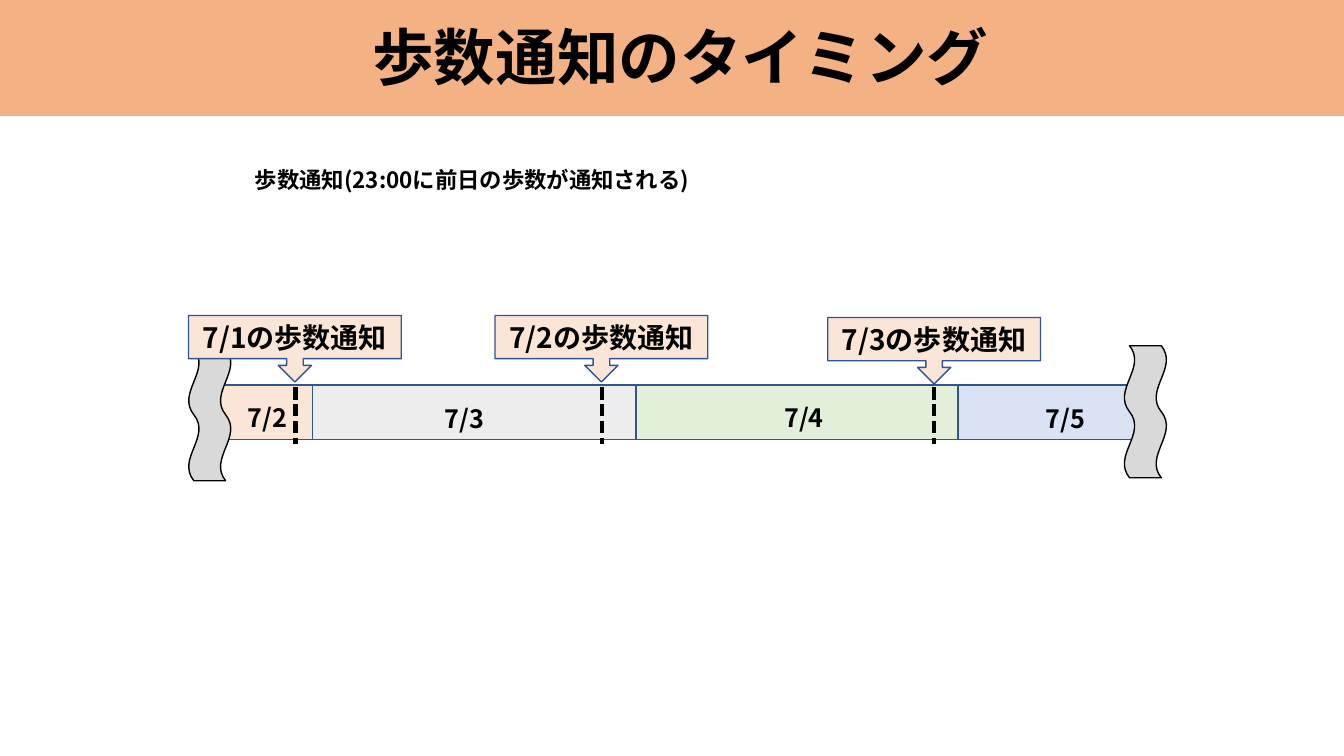
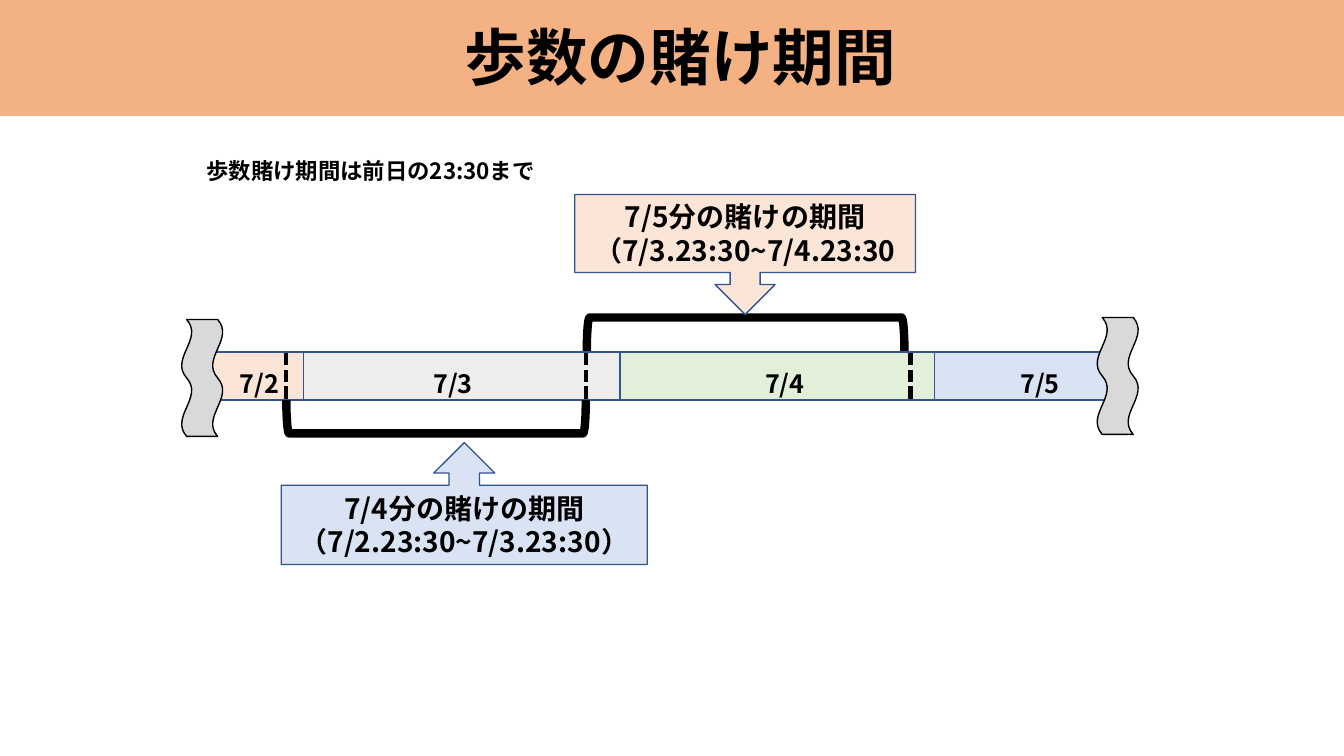
from lxml import etree
from pptx import Presentation
from pptx.dml.color import RGBColor
from pptx.enum.dml import MSO_LINE
from pptx.enum.shapes import MSO_CONNECTOR, MSO_SHAPE
from pptx.enum.text import MSO_ANCHOR, MSO_AUTO_SIZE, PP_ALIGN
from pptx.oxml.ns import qn
from pptx.util import Emu, Pt

PX = 9144  # 100 px to the inch
FONT = "Noto Sans CJK JP"
BLACK, WAVE_GREY, OUTLINE, BAND = "000000", "D9D9D9", "325491", "F4B183"
PEACH, GREY, GREEN, BLUE = "FBE5D6", "EDEDED", "E2F0D9", "DAE3F3"
RECTANGLE, ROUNDED = MSO_SHAPE.RECTANGLE, MSO_SHAPE.ROUNDED_RECTANGLE
WAVE, BRACKET = MSO_SHAPE.DOUBLE_WAVE, MSO_SHAPE.RIGHT_BRACKET
DOWN, UP = MSO_SHAPE.DOWN_ARROW_CALLOUT, MSO_SHAPE.UP_ARROW_CALLOUT
STRAIGHT, SYSTEM_DASH = MSO_CONNECTOR.STRAIGHT, MSO_LINE.SQUARE_DOT
LEFT, CENTER, MIDDLE = PP_ALIGN.LEFT, PP_ALIGN.CENTER, MSO_ANCHOR.MIDDLE
GROW = MSO_AUTO_SIZE.SHAPE_TO_FIT_TEXT
hex_color = RGBColor.from_string

DAYS = [("7/2", PEACH), ("7/3", GREY), ("7/4", GREEN), ("7/5", BLUE)]
PAGES = [
    {
        "title": "歩数通知のタイミング",
        "note": ("歩数通知(23:00に前日の歩数が通知される)", (243, 160, 479, 37)),
        "day_edges": [201, 310, 631, 950, 1128],
        "bar": (382, 54),
        "labels": ([236, 431, 768, 1027], 394),
        "waves": [(187, 346, 42, 131), (1115, 343, 42, 131)],
        "brackets": [],
        "callouts": [
            (DOWN, (187, 313, 211, 66), PEACH, ["7/1の歩数通知"]),
            (DOWN, (491, 313, 211, 66), PEACH, ["7/2の歩数通知"]),
            (DOWN, (821, 315, 211, 66), PEACH, ["7/3の歩数通知"]),
        ],
        "dashes": ([293, 597, 926], 384, 440),
    },
    {
        "title": "歩数の賭け期間",
        "note": ("歩数賭け期間は前日の23:30まで", (195, 151, 554, 37)),
        "day_edges": [195, 301, 615, 927, 1101],
        "bar": (349, 48),
        "labels": ([228, 420, 749, 1002], 360),
        "waves": [(180, 317, 41, 116), (1088, 315, 41, 116)],
        "brackets": [((284, 397, 297, 33), 90), ((582, 315, 315, 33), 270)],
        "callouts": [
            (UP, (279, 439, 363, 121), BLUE,
             ["7/4分の賭けの期間", "（7/2.23:30~7/3.23:30）"]),
            (DOWN, (570, 193, 338, 119), PEACH,
             ["7/5分の賭けの期間", "（7/3.23:30~7/4.23:30"]),
        ],
        "dashes": ([284, 581, 903], 350, 399),
    },
]


def add_box(page, kind, frame, fill=None, line=None, weight=1, turn=0):
    """Add a shape whose frame is the area it covers after a quarter turn."""
    left, top, width, height = frame
    if turn:
        left, top = left + (width - height) / 2, top + (height - width) / 2
        width, height = height, width
    box = page.shapes.add_shape(
        kind, *(Emu(int(length * PX)) for length in (left, top, width, height)))
    box.rotation = turn
    box.shadow.inherit = False
    if fill:
        box.fill.solid()
        box.fill.fore_color.rgb = hex_color(fill)
    else:
        box.fill.background()
    if line:
        box.line.color.rgb = hex_color(line)
        box.line.width = Pt(weight)
    else:
        box.line.fill.background()
    return box


def write(box, lines, size, align):
    frame = box.text_frame
    frame.word_wrap = True
    for index, words in enumerate(lines):
        para = frame.paragraphs[0] if index == 0 else frame.add_paragraph()
        para.alignment = align
        span = para.add_run()
        span.text = words
        span.font.color.rgb = hex_color(BLACK)
        for name, value in {"name": FONT, "size": Pt(size), "bold": True}.items():
            setattr(span.font, name, value)
        east_asian = etree.SubElement(span._r.get_or_add_rPr(), qn("a:ea"))
        east_asian.set("typeface", FONT)


deck = Presentation()
deck.slide_width, deck.slide_height = Emu(1333 * PX), Emu(750 * PX)

for content in PAGES:
    page = deck.slides.add_slide(deck.slide_layouts[6])

    band = add_box(page, ROUNDED, (-24, -4, 1398, 119), BAND)
    band.text_frame.vertical_anchor = MIDDLE
    write(band, [content["title"]], 44, CENTER)

    edges = content["day_edges"]
    bar_top, bar_height = content["bar"]
    for (day, fill), start, end in zip(DAYS, edges, edges[1:]):
        add_box(page, RECTANGLE, (start, bar_top, end - start, bar_height), fill, OUTLINE)

    for frame in content["waves"]:
        wave = add_box(page, WAVE, frame, WAVE_GREY, BLACK, turn=90)
        wave.adjustments[0] = 0.125

    label_lefts, label_top = content["labels"]
    texts = [(*content["note"], 16)]
    for index, ((day, fill), left) in enumerate(zip(DAYS, label_lefts)):
        texts.append((day, (left, label_top + index % 2, 68, 40), 18))
    for words, frame, size in texts:
        box = page.shapes.add_textbox(*(Emu(length * PX) for length in frame))
        write(box, [words], size, LEFT)
        box.text_frame.auto_size = GROW

    dash_lefts, dash_top, dash_bottom = content["dashes"]
    for left in dash_lefts:
        dash = page.shapes.add_connector(
            STRAIGHT, *(Emu(n * PX) for n in (left, dash_top, left, dash_bottom)))
        dash.line.color.rgb = hex_color(BLACK)
        dash.line.width = Pt(3)
        dash.line.dash_style = SYSTEM_DASH
        etree.SubElement(dash._element.spPr, qn("a:effectLst"))

    for frame, turn in content["brackets"]:
        add_box(page, BRACKET, frame, line=BLACK, weight=6, turn=turn)

    for kind, frame, fill, lines in content["callouts"]:
        callout = add_box(page, kind, frame, fill, OUTLINE)
        callout.text_frame.vertical_anchor = MIDDLE
        write(callout, lines, 20, CENTER)

deck.save("out.pptx")
